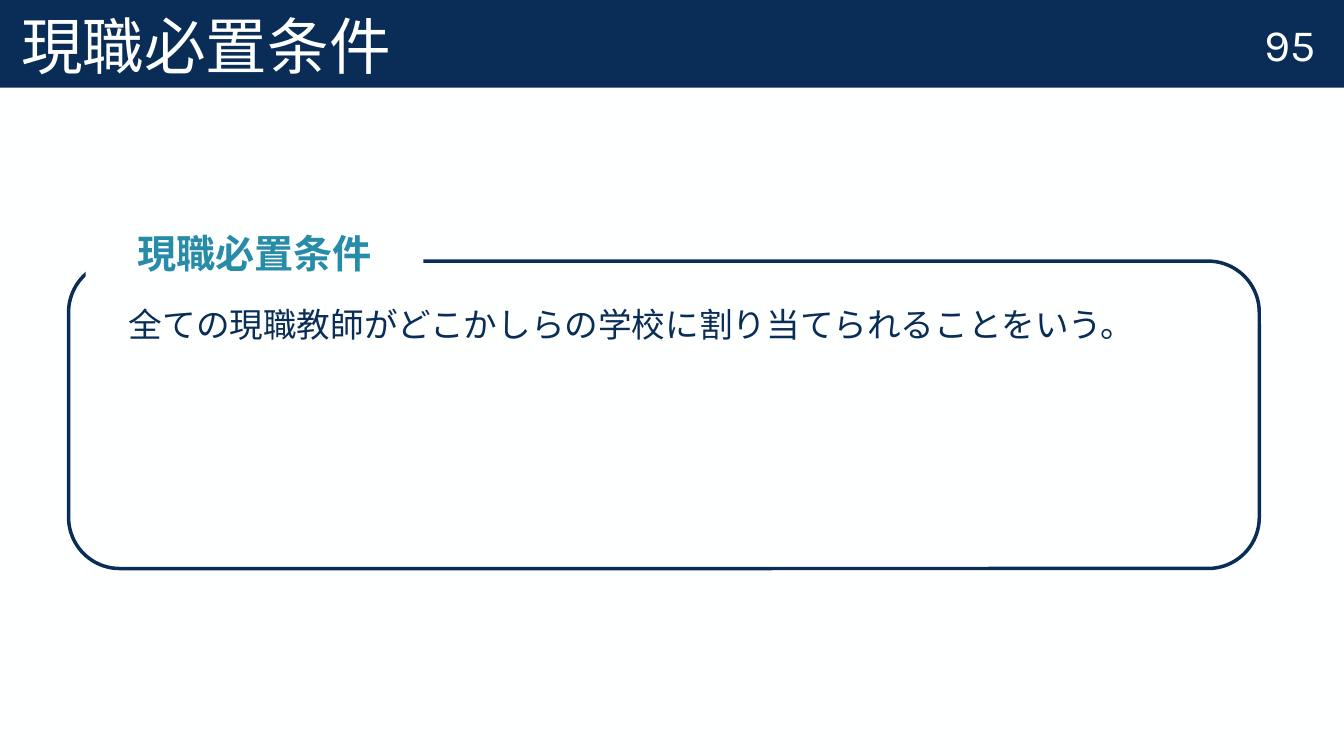
from pptx import Presentation
from pptx.dml.color import RGBColor
from pptx.enum.shapes import MSO_SHAPE as Shape
from pptx.enum.text import MSO_ANCHOR as Anchor, PP_ALIGN as Align
from pptx.util import Inches, Pt

COLORS = {"navy": "092D57", "teal": "278CA7", "white": "FEFFFF"}
FONT = "Karla"


def color(name):
    return RGBColor.from_string(COLORS[name])


class SlideBuilder:
    """Holds the style and the current slide."""

    def __init__(self, presentation):
        self.slide = presentation.slides.add_slide(presentation.slide_layouts[6])
        background = self.slide.background.fill
        background.solid()
        background.fore_color.rgb = color("white")

    def box(self, kind, position, fill=None, line=None, width=2.5):
        shape = self.slide.shapes.add_shape(kind, *map(Inches, position))
        shape.shadow.inherit = False
        if fill:
            shape.fill.solid()
            shape.fill.fore_color.rgb = color(fill)
        else:
            shape.fill.background()
        if line:
            shape.line.color.rgb = color(line)
            shape.line.width = Pt(width)
        else:
            shape.line.fill.background()
        return shape

    def text_box(self, position, *args, **options):
        shape = self.slide.shapes.add_textbox(*map(Inches, position))
        self.set_text(shape, *args, **options)
        return shape

    def set_text(self, shape, text, size, font_color, bold=False,
                 align=Align.LEFT, anchor=Anchor.TOP):
        frame = shape.text_frame
        frame.text = text
        frame.word_wrap = True
        frame.vertical_anchor = anchor
        paragraph = frame.paragraphs[0]
        paragraph.alignment = align
        font = paragraph.runs[0].font
        font.name = FONT
        font.size = Pt(size)
        font.bold = bold
        font.color.rgb = color(font_color)

    def group(self, *shapes):
        return self.slide.shapes.add_group_shape(shapes)


def main():
    presentation = Presentation()
    presentation.slide_width = Inches(13.33)
    presentation.slide_height = Inches(7.5)
    builder = SlideBuilder(presentation)
    term = "現職必置条件"

    # Title bar and page number
    title = builder.box(Shape.RECTANGLE, (0, 0, 13.33, 0.87), fill="navy")
    builder.set_text(title, term, 44, "white", anchor=Anchor.BOTTOM)
    title.text_frame.margin_left = Inches(0.21)
    title.text_frame.paragraphs[0].line_spacing = 0.9
    builder.text_box((12.28, 0, 1.04, 0.86), "95", 32, "white",
                     align=Align.CENTER, anchor=Anchor.MIDDLE)

    # Framed definition
    frame = builder.box(Shape.ROUNDED_RECTANGLE, (0.68, 2.59, 11.81, 3.05),
                        line="navy")
    definition = builder.text_box(
        (1.18, 2.97, 11.14, 0.5),
        "全ての現職教師がどこかしらの学校に割り当てられることをいう。", 24, "navy")
    builder.group(frame, definition)

    # Heading that interrupts the frame
    heading = builder.box(Shape.RECTANGLE, (0.85, 2.23, 3.35, 0.56), fill="white")
    builder.set_text(heading, term, 28, "teal", bold=True,
                     align=Align.CENTER, anchor=Anchor.MIDDLE)

    presentation.save("out.pptx")


if __name__ == "__main__":
    main()
